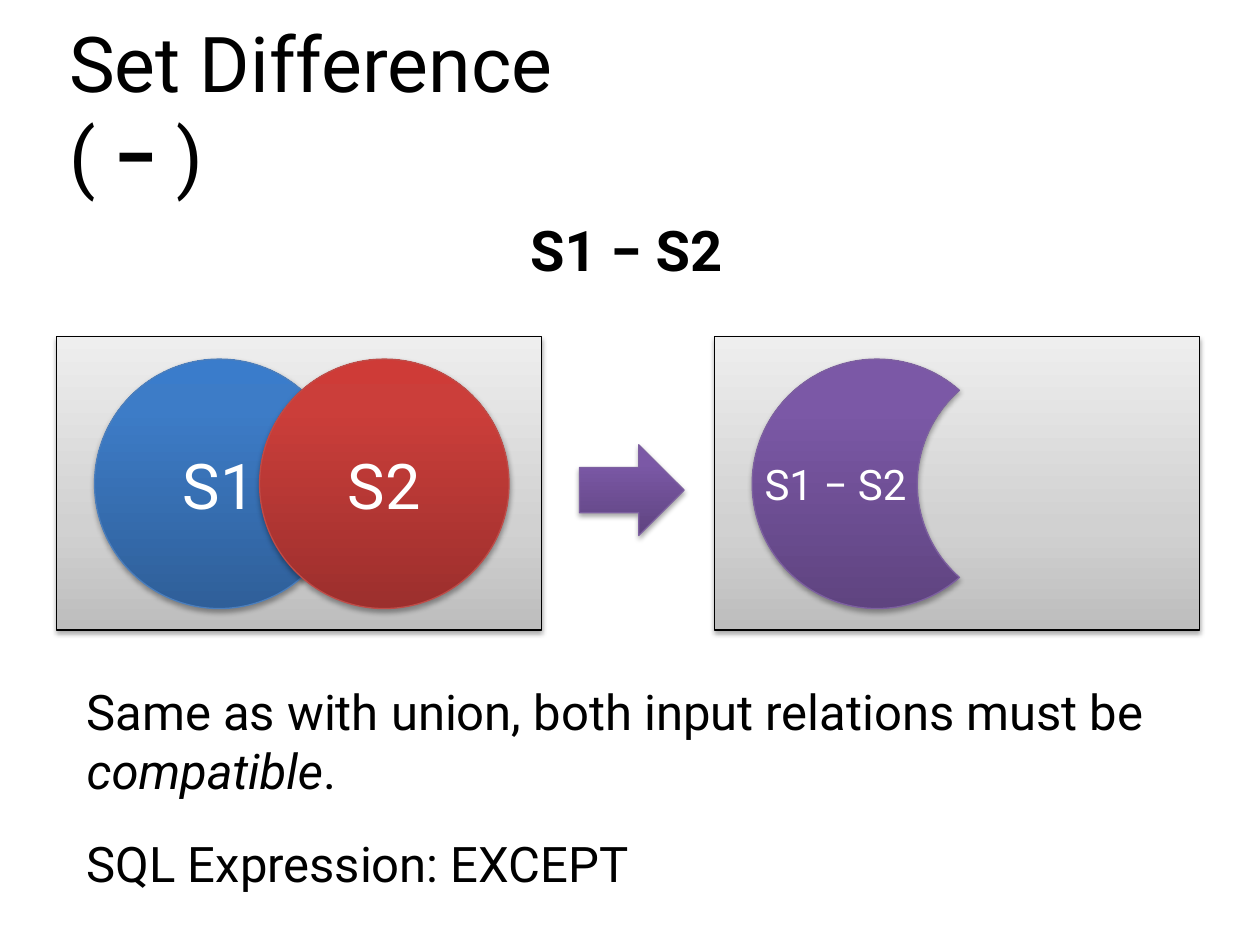
"""Build the Set Difference slide with its Venn diagram."""
from math import acos, degrees, sin
from lxml.etree import SubElement
from pptx import Presentation
from pptx.dml.color import RGBColor
from pptx.enum.shapes import MSO_SHAPE as Shape
from pptx.enum.text import MSO_ANCHOR as Anchor, PP_ALIGN as Align
from pptx.oxml import parse_xml
from pptx.oxml.ns import nsdecls, qn
from pptx.util import Inches, Pt

FONT = "Roboto"
HEX = {"black": "000000", "white": "FFFFFF"}
GRADS = {
    "gray": ("BDBDBD", "D1D1D1", "EEEEEE"),
    "blue": ("2F5F99", "3D7CC7", "3A7CCB"),
    "red": ("9C2F2D", "CB3E3A", "CE3B37"),
    "purple": ("5F4480", "7B58A6", "7C57A8"),
}
EDGES = {"gray": "000000", "blue": "4B7EBC", "red": "BF4C48", "purple": "7D60A0"}

BREAK = ("\n", "")
TITLE = [[("Set Difference", ""), BREAK, ("( ", ""), ("−", "b"), (" )", "")]]
HEAD = [[("S1 − S2", "b")]]
NOTES = [
    [("Same as with union, both input relations must be ", ""),
     ("compatible", "i"), (".", "")],
    [("SQL Expression: EXCEPT", "")],
]
SETS = [("S1", "blue"), ("S2", "red")]
RESULT = "S1 − S2"

BOX_W, BOX_H, BOX_Y = 3.85, 2.33, 2.67
LEFT_X, RIGHT_X = 0.45, 5.67
RAD, STEP, PAD = 0.99, 1.31, 0.3
MID_Y = BOX_Y + 0.18 + RAD


def write(frame, paras, size, color="black", align=Align.LEFT, gap=0):
    frame.word_wrap = True
    for i, parts in enumerate(paras):
        para = frame.add_paragraph() if i else frame.paragraphs[0]
        para.alignment = align
        para.space_before = Pt(gap if i else 0)
        for part in parts:
            if part == BREAK:
                para.add_line_break()
                continue
            text, style = part
            run = para.add_run()
            run.text = text
            font = run.font
            font.name, font.size = FONT, Pt(size)
            font.bold, font.italic = style == "b", style == "i"
            font.color.rgb = RGBColor.from_string(HEX[color])


def add_text(slide, spot, paras, size, **opts):
    box = slide.shapes.add_textbox(*map(Inches, spot))
    write(box.text_frame, paras, size, **opts)
    return box.text_frame


def paint(shape, tone):
    mid = 35 if tone == "gray" else 80
    stops = "".join(
        f'<a:gs pos="{pos * 1000}"><a:srgbClr val="{color}"/></a:gs>'
        for pos, color in zip((0, mid, 100), GRADS[tone]))
    shape.line.color.rgb = RGBColor.from_string(EDGES[tone])
    shape.line.width = Pt(0.75)
    shape.shadow.inherit = False
    props = shape.element.spPr
    props.insert(2, parse_xml(
        f'<a:gradFill {nsdecls("a")} rotWithShape="1"><a:gsLst>{stops}</a:gsLst>'
        '<a:lin ang="16200000" scaled="0"/></a:gradFill>'))
    shade = SubElement(props.find(qn("a:effectLst")), qn("a:outerShdw"),
                       blurRad=str(Pt(3.1)), dist=str(Pt(1.7)),
                       dir="5400000", rotWithShape="0")
    color = SubElement(shade, qn("a:srgbClr"), val=HEX["black"])
    SubElement(color, qn("a:alpha"), val="35000")


def add_shape(shapes, kind, spot, tone):
    shape = shapes.add_shape(kind, *map(Inches, spot))
    paint(shape, tone)
    return shape


def label(shape, text, size, align):
    shape.text_frame.vertical_anchor = Anchor.MIDDLE
    write(shape.text_frame, [[(text, "")]], size, "white", align)


def add_panel(slide, x):
    shapes = slide.shapes.add_group_shape().shapes
    add_shape(shapes, Shape.RECTANGLE, (x, BOX_Y, BOX_W, BOX_H), "gray")
    return shapes


def add_moon(shapes, x):
    half = acos(STEP / 2 / RAD)
    tip_x, rise = x + STEP / 2, RAD * sin(half)
    spots = [(tip_x, MID_Y - rise), (x, MID_Y - RAD), (x - RAD, MID_Y),
             (x, MID_Y + RAD), (tip_x, MID_Y + rise)]
    points = [(Inches(a), Inches(b)) for a, b in spots]
    pen = shapes.build_freeform(*points[0])
    pen.add_line_segments(points[1:], close=True)
    moon = pen.convert_to_shape()
    track = next(moon.element.iter(qn("a:path")))
    for seg in track.findall(qn("a:lnTo")):
        track.remove(seg)
    turn = degrees(half)
    arcs = [(360 - turn, 2 * turn - 360), (180 - turn, 2 * turn)]
    for i, (start, sweep) in enumerate(arcs):
        arc = SubElement(track, qn("a:arcTo"), wR=str(Inches(RAD)),
                         hR=str(Inches(RAD)), stAng=str(round(start * 60000)),
                         swAng=str(round(sweep * 60000)))
        track.insert(i + 1, arc)
    paint(moon, "purple")
    return moon


def main():
    prs = Presentation()
    prs.slide_width, prs.slide_height = Inches(10), Inches(7.5)
    slide = prs.slides.add_slide(prs.slide_layouts[6])

    title = add_text(slide, (0.45, 0.05, 5.21, 1.61), TITLE, 44)
    title.vertical_anchor = Anchor.MIDDLE

    venn = add_panel(slide, LEFT_X)
    for i, (name, tone) in enumerate(SETS):
        spot = (LEFT_X + PAD + i * STEP, MID_Y - RAD, 2 * RAD, 2 * RAD)
        label(add_shape(venn, Shape.OVAL, spot, tone), name, 36, Align.CENTER)

    moon = add_moon(add_panel(slide, RIGHT_X), RIGHT_X + PAD + RAD)
    label(moon, RESULT, 24, Align.LEFT)
    add_shape(slide.shapes, Shape.RIGHT_ARROW, (4.6, 3.53, 0.83, 0.72), "purple")

    add_text(slide, (4.11, 1.66, 1.81, 0.64), HEAD, 32).word_wrap = False
    add_text(slide, (0.59, 5.36, 8.86, 1.85), NOTES, 28, gap=19.5)
    prs.save("out.pptx")


if __name__ == "__main__":
    main()
